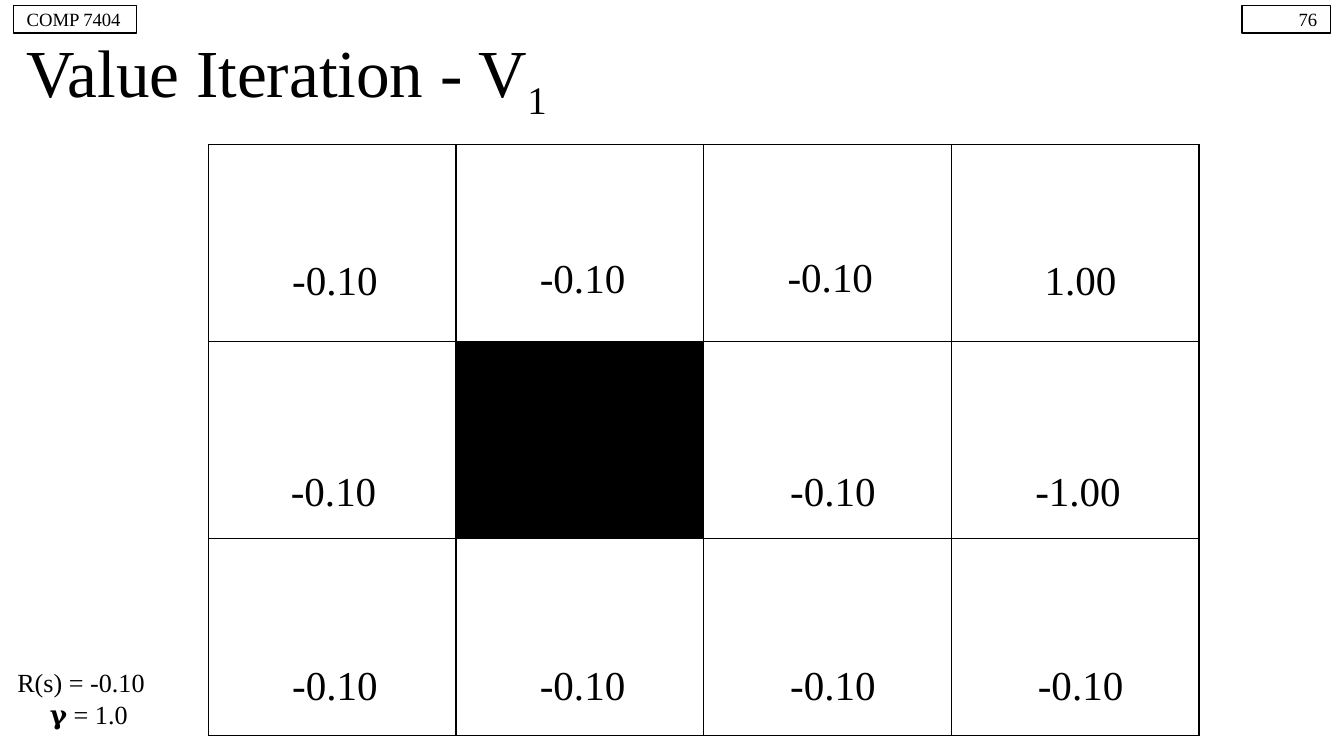
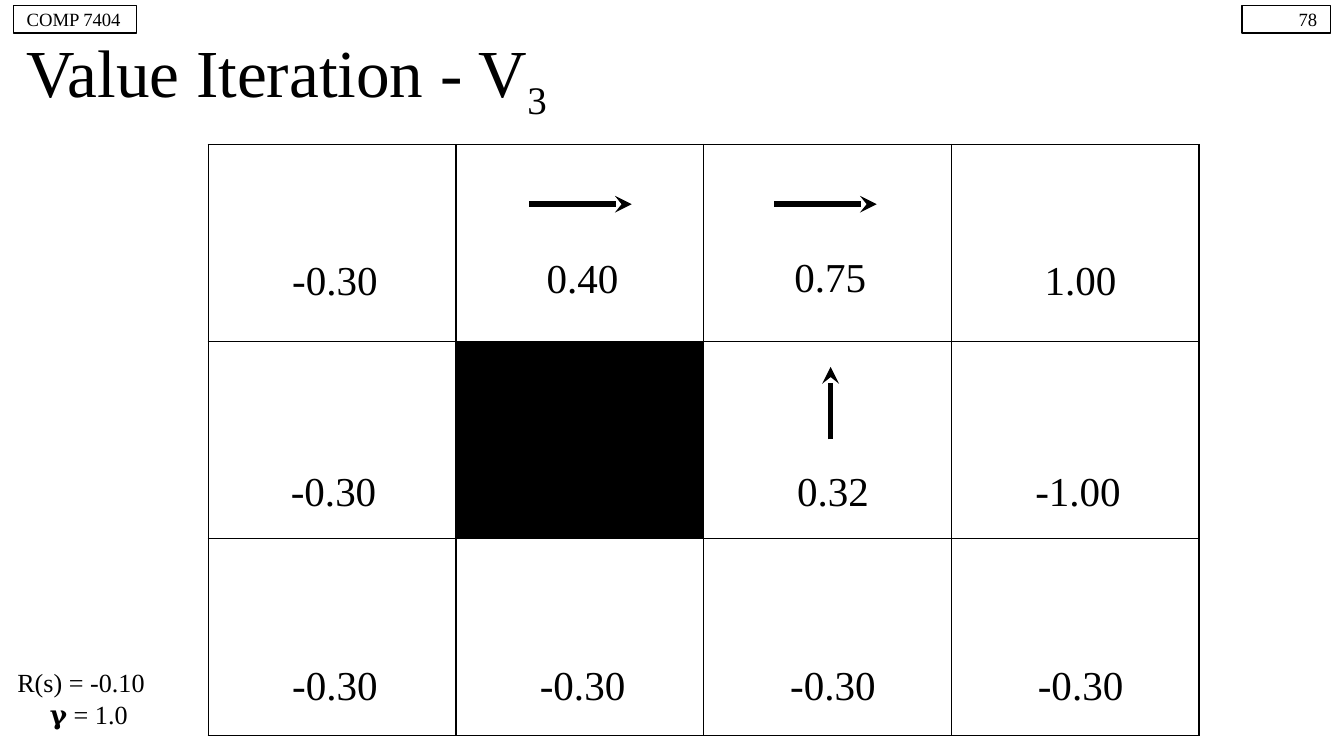
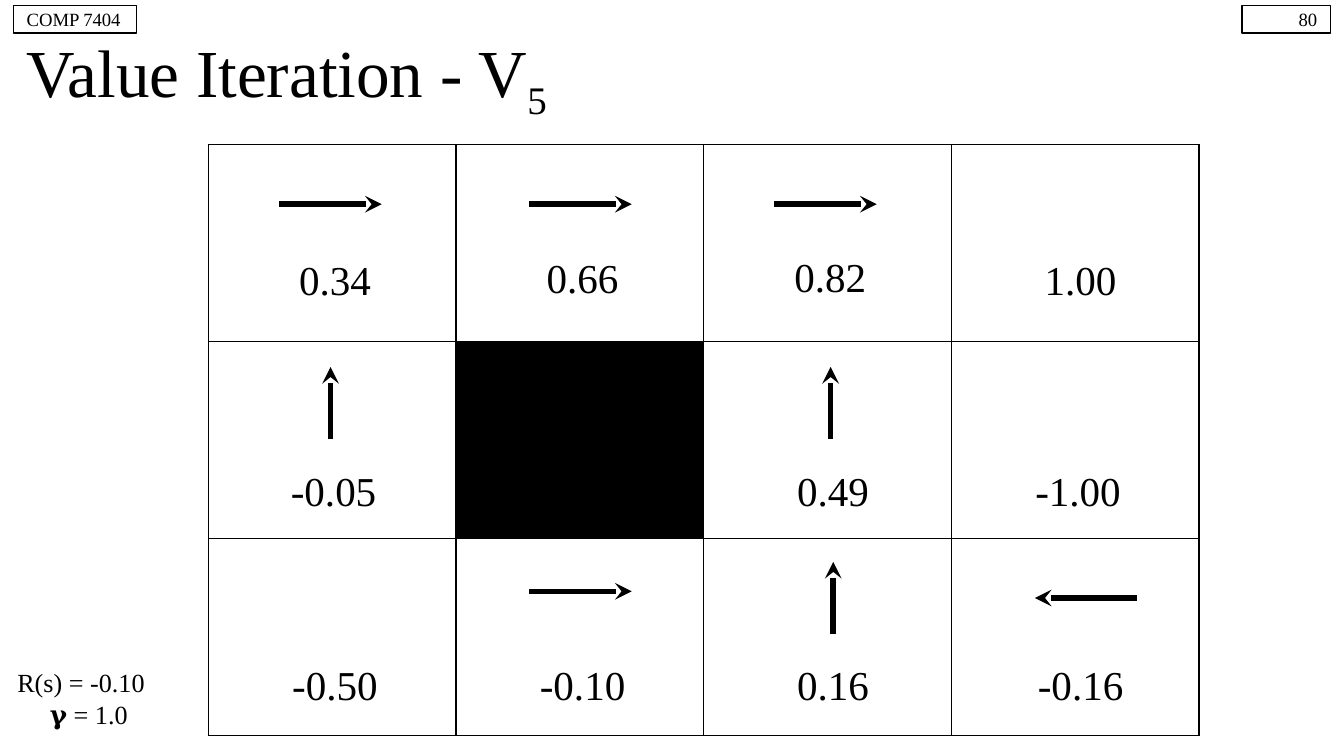
from dataclasses import dataclass
from itertools import product

from lxml import etree
from pptx import Presentation
from pptx.dml import color as c
from pptx.enum import shapes as s, text as t
from pptx.oxml import ns
from pptx.util import Pt

COLORS = {"ink": "000000"}
FONT = "Times New Roman"

# Grid world
ROWS, COLS = 3, 4
GRID_LEFT, GRID_TOP = 111.6, 77.4
CELL_W, CELL_H = 132.7, 105.5
WALL = (1, 1)
HAIRLINE = 0.75

# Value labels: one top per row, with small offsets for some cells
VALUE_TOPS = (133.2, 246.2, 349.9)
VALUE_H = 33.1
VALUE_OFFSETS = {
    (0, 1): (0, -1.4), (0, 2): (0, -1.8), (0, 3): (1.4, 0),
    (1, 0): (-0.7, 0), (1, 2): (1.4, 0),
    (2, 2): (1.4, 0), (2, 3): (1.4, 0),
}

# Half-extent of a policy arrow towards each direction
DIRECTIONS = {"right": (27.4, 0), "left": (-27.4, 0), "up": (0, -19.4)}


@dataclass(frozen=True)
class Box:
    left: float
    top: float
    width: float
    height: float

    def lengths(self) -> tuple:
        return Pt(self.left), Pt(self.top), Pt(self.width), Pt(self.height)


@dataclass(frozen=True)
class Move:
    direction: str
    x: float
    y: float


@dataclass(frozen=True)
class Iteration:
    step: int
    page: int
    values: tuple
    moves: tuple = ()


TITLE = Box(7.2, 20.2, 705.6, 41)
COURSE = Box(7.2, 2.9, 65.8, 14.8)
PAGE = Box(665.3, 2.9, 47.5, 14.8)
SETTINGS = Box(2.2, 349.9, 89.3, 51.1)

# Best moves, by cell
MOVES = {
    (0, 0): Move("right", 177.1, 109.4),
    (0, 1): Move("right", 311, 109.4),
    (0, 2): Move("right", 442.3, 109.4),
    (1, 0): Move("up", 177.1, 216),
    (1, 2): Move("up", 445, 216),
    (2, 1): Move("right", 311, 316.8),
    (2, 2): Move("up", 446.4, 320.4),
    (2, 3): Move("left", 581.8, 320.4),
}

ITERATIONS = (
    Iteration(1, 76, (("-0.10", "-0.10", "-0.10", "1.00"),
                      ("-0.10", "", "-0.10", "-1.00"),
                      ("-0.10", "-0.10", "-0.10", "-0.10"))),
    Iteration(3, 78, (("-0.30", "0.40", "0.75", "1.00"),
                      ("-0.30", "", "0.32", "-1.00"),
                      ("-0.30", "-0.30", "-0.30", "-0.30")),
              ((0, 1), (0, 2), (1, 2))),
    Iteration(5, 80, (("0.34", "0.66", "0.82", "1.00"),
                      ("-0.05", "", "0.49", "-1.00"),
                      ("-0.50", "-0.10", "0.16", "-0.16")),
              tuple(MOVES)),
)


def ink() -> c.RGBColor:
    return c.RGBColor.from_string(COLORS["ink"])


def write(shape, words: str, size: float, align=t.PP_ALIGN.LEFT,
          anchor=t.MSO_ANCHOR.MIDDLE, inset: float = 7.2):
    """Fill a shape with text; each line becomes a paragraph."""
    frame = shape.text_frame
    frame.text = words
    frame.word_wrap = True
    frame.vertical_anchor = anchor
    frame.margin_left = frame.margin_right = Pt(inset)
    frame.margin_top = frame.margin_bottom = Pt(inset)
    for paragraph in frame.paragraphs:
        paragraph.alignment = align
        for run in paragraph.runs:
            style(run, size)
    return frame


def style(run, size: float) -> None:
    run.font.name = FONT
    run.font.size = Pt(size)
    run.font.color.rgb = ink()


def indent(paragraph, left: float) -> None:
    properties = paragraph._p.get_or_add_pPr()
    properties.set("marL", str(Pt(left)))
    properties.set("indent", "0")


def add_frame(slide, box: Box, filled: bool = False):
    """Outlined rectangle, open or solid."""
    frame = slide.shapes.add_shape(s.MSO_SHAPE.RECTANGLE, *box.lengths())
    frame.shadow.inherit = False
    if filled:
        frame.fill.solid()
        frame.fill.fore_color.rgb = ink()
    else:
        frame.fill.background()
    frame.line.color.rgb = ink()
    frame.line.width = Pt(HAIRLINE)
    return frame


def cell_box(row: int, col: int) -> Box:
    return Box(GRID_LEFT + col * CELL_W, GRID_TOP + row * CELL_H, CELL_W, CELL_H)


def add_header(slide, iteration: Iteration) -> None:
    title = slide.shapes.add_textbox(*TITLE.lengths())
    heading = write(title, "Value Iteration - V", 36).paragraphs[0]
    subscript = heading.add_run()
    subscript.text = str(iteration.step)
    style(subscript, 36)
    subscript.font._element.set("baseline", "-25000")
    write(add_frame(slide, PAGE), str(iteration.page), 10, t.PP_ALIGN.RIGHT)
    write(add_frame(slide, COURSE), "COMP 7404", 10)


def add_settings(slide) -> None:
    settings = slide.shapes.add_textbox(*SETTINGS.lengths())
    frame = write(settings, "R(s) = -0.10\n𝛄 = 1.0", 14, anchor=t.MSO_ANCHOR.TOP)
    indent(frame.paragraphs[1], 17.5)


def add_borders(cell) -> None:
    properties = cell._tc.get_or_add_tcPr()
    for side in ("a:lnL", "a:lnR", "a:lnT", "a:lnB"):
        border = etree.SubElement(properties, ns.qn(side), w=str(Pt(HAIRLINE)))
        fill = etree.SubElement(border, ns.qn("a:solidFill"))
        etree.SubElement(fill, ns.qn("a:srgbClr"), val=COLORS["ink"])


def add_grid(slide) -> None:
    area = Box(GRID_LEFT, GRID_TOP, COLS * CELL_W, ROWS * CELL_H)
    grid = slide.shapes.add_table(ROWS, COLS, *area.lengths()).table
    grid.first_row = grid.horz_banding = False
    for column in grid.columns:
        column.width = Pt(CELL_W)
    for row in grid.rows:
        row.height = Pt(CELL_H)
    for cell in grid.iter_cells():
        add_borders(cell)
        cell.fill.background()
    add_frame(slide, cell_box(*WALL), filled=True)


def add_values(slide, values: tuple) -> None:
    for row, col in product(range(ROWS), range(COLS)):
        if (row, col) == WALL:
            continue
        dx, dy = VALUE_OFFSETS.get((row, col), (0, 0))
        box = Box(cell_box(row, col).left + dx, VALUE_TOPS[row] + dy, CELL_W, VALUE_H)
        value = slide.shapes.add_textbox(*box.lengths())
        frame = write(value, values[row][col], 22, t.PP_ALIGN.CENTER, inset=4.3)
        indent(frame.paragraphs[0], 2.9)


def add_move(slide, move: Move) -> None:
    dx, dy = DIRECTIONS[move.direction]
    arrow = slide.shapes.add_connector(
        s.MSO_CONNECTOR.STRAIGHT, Pt(move.x - dx), Pt(move.y - dy),
        Pt(move.x + dx), Pt(move.y + dy))
    arrow.line.color.rgb = ink()
    arrow.line.width = Pt(3)
    etree.SubElement(arrow.line._get_or_add_ln(), ns.qn("a:tailEnd"), type="stealth")
    etree.SubElement(arrow._element.spPr, ns.qn("a:effectLst"))


def main() -> None:
    deck = Presentation()
    deck.slide_width, deck.slide_height = Pt(720), Pt(405)
    for iteration in ITERATIONS:
        slide = deck.slides.add_slide(deck.slide_layouts[6])
        add_header(slide, iteration)
        add_settings(slide)
        add_grid(slide)
        add_values(slide, iteration.values)
        for cell in iteration.moves:
            add_move(slide, MOVES[cell])
    deck.save("out.pptx")


if __name__ == "__main__":
    main()
